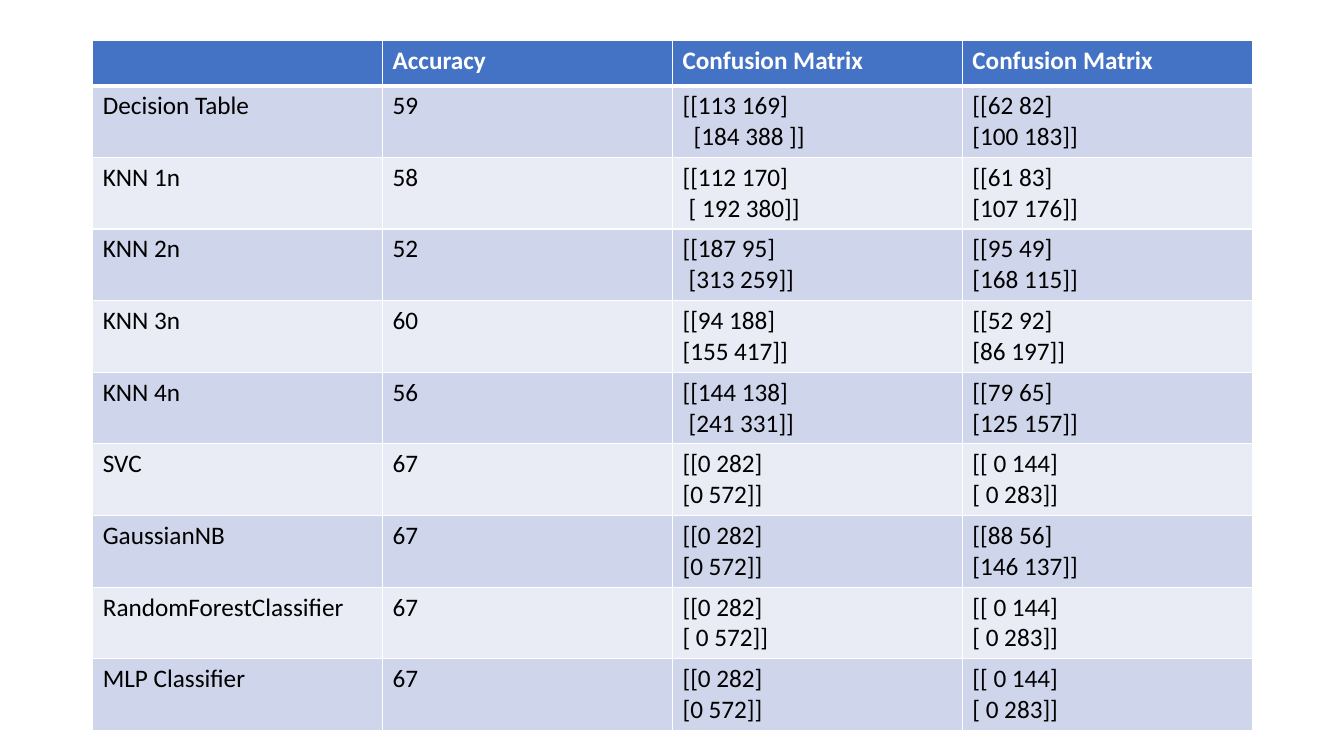
from dataclasses import dataclass

from lxml.etree import SubElement
from pptx import Presentation
from pptx.dml.color import RGBColor
from pptx.oxml.ns import qn
from pptx.table import _Cell
from pptx.util import Inches, Pt


@dataclass(frozen=True)
class Theme:
    font: str = "Calibri"
    size: int = 18
    header_fill: str = "4472C4"
    header_text: str = "FFFFFF"
    body_fills: tuple[str, str] = ("CFD5EA", "E9EBF5")
    body_text: str = "000000"
    border: str = "FFFFFF"
    thin: int = 1
    thick: int = 3


@dataclass(frozen=True)
class Result:
    model: str
    accuracy: int
    first_matrix: str
    second_matrix: str
    indent: float = 0  # inches, second line of the first matrix


THEME = Theme()
HEADERS = ("", "Accuracy", "Confusion Matrix", "Confusion Matrix")
RESULTS = (
    Result("Decision Table", 59, "[[113 169]\n[184 388 ]]", "[[62 82]\n[100 183]]", 0.11),
    Result("KNN 1n", 58, "[[112 170]\n[ 192 380]]", "[[61 83]\n[107 176]]", 0.06),
    Result("KNN 2n", 52, "[[187 95]\n[313 259]]", "[[95 49]\n[168 115]]", 0.06),
    Result("KNN 3n", 60, "[[94 188]\n[155 417]]", "[[52 92]\n[86 197]]"),
    Result("KNN 4n", 56, "[[144 138]\n[241 331]]", "[[79 65]\n[125 157]]", 0.06),
    Result("SVC", 67, "[[0 282]\n[0 572]]", "[[ 0 144]\n[ 0 283]]"),
    Result("GaussianNB", 67, "[[0 282]\n[0 572]]", "[[88 56]\n[146 137]]"),
    Result("RandomForestClassifier", 67, "[[0 282]\n[ 0 572]]", "[[ 0 144]\n[ 0 283]]"),
    Result("MLP Classifier", 67, "[[0 282]\n[0 572]]", "[[ 0 144]\n[ 0 283]]"),
)


def set_borders(cell: _Cell, top: int, bottom: int) -> None:
    tc_pr = cell._tc.get_or_add_tcPr()
    widths = {"a:lnL": THEME.thin, "a:lnR": THEME.thin, "a:lnT": top, "a:lnB": bottom}
    for i, (tag, width) in enumerate(widths.items()):
        ln = SubElement(tc_pr, qn(tag), w=str(Pt(width)))
        fill = SubElement(ln, qn("a:solidFill"))
        SubElement(fill, qn("a:srgbClr"), val=THEME.border)
        tc_pr.insert(i, ln)  # borders come before the fill


def fill_cell(cell: _Cell, text: str, fill: str, color: str, bold: bool) -> None:
    cell.fill.solid()
    cell.fill.fore_color.rgb = RGBColor.from_string(fill)
    cell.text_frame.text = text
    for p in cell.text_frame.paragraphs:
        p.font.size = Pt(THEME.size)
        for r in p.runs:
            r.font.name = THEME.font
            r.font.size = Pt(THEME.size)
            r.font.bold = bold
            r.font.color.rgb = RGBColor.from_string(color)


def indent_last_line(cell: _Cell, indent: float) -> None:
    p = cell.text_frame.paragraphs[-1]
    p._p.get_or_add_pPr().set("marL", str(Inches(indent)))


# Slide
prs = Presentation()
prs.slide_width, prs.slide_height = Inches(13.33), Inches(7.5)
s = prs.slides.add_slide(prs.slide_layouts[6])

# Table grid
table = s.shapes.add_table(
    len(RESULTS) + 1, len(HEADERS), Inches(0.92), Inches(0.4), Inches(11.5), Inches(6.75)
).table
table.horz_banding = False
for i, row in enumerate(table.rows):
    row.height = Inches(0.7 if i else 0.45)

# Header row
for cell, text in zip(table.rows[0].cells, HEADERS):
    fill_cell(cell, text, THEME.header_fill, THEME.header_text, True)
    set_borders(cell, THEME.thin, THEME.thick)

# One row per classifier
for i, result in enumerate(RESULTS):
    cells = list(table.rows[i + 1].cells)
    texts = (result.model, str(result.accuracy), result.first_matrix, result.second_matrix)
    for cell, text in zip(cells, texts):
        fill_cell(cell, text, THEME.body_fills[i % 2], THEME.body_text, False)
        set_borders(cell, THEME.thin if i else THEME.thick, THEME.thin)
    if result.indent:
        indent_last_line(cells[2], result.indent)

prs.save("out.pptx")
